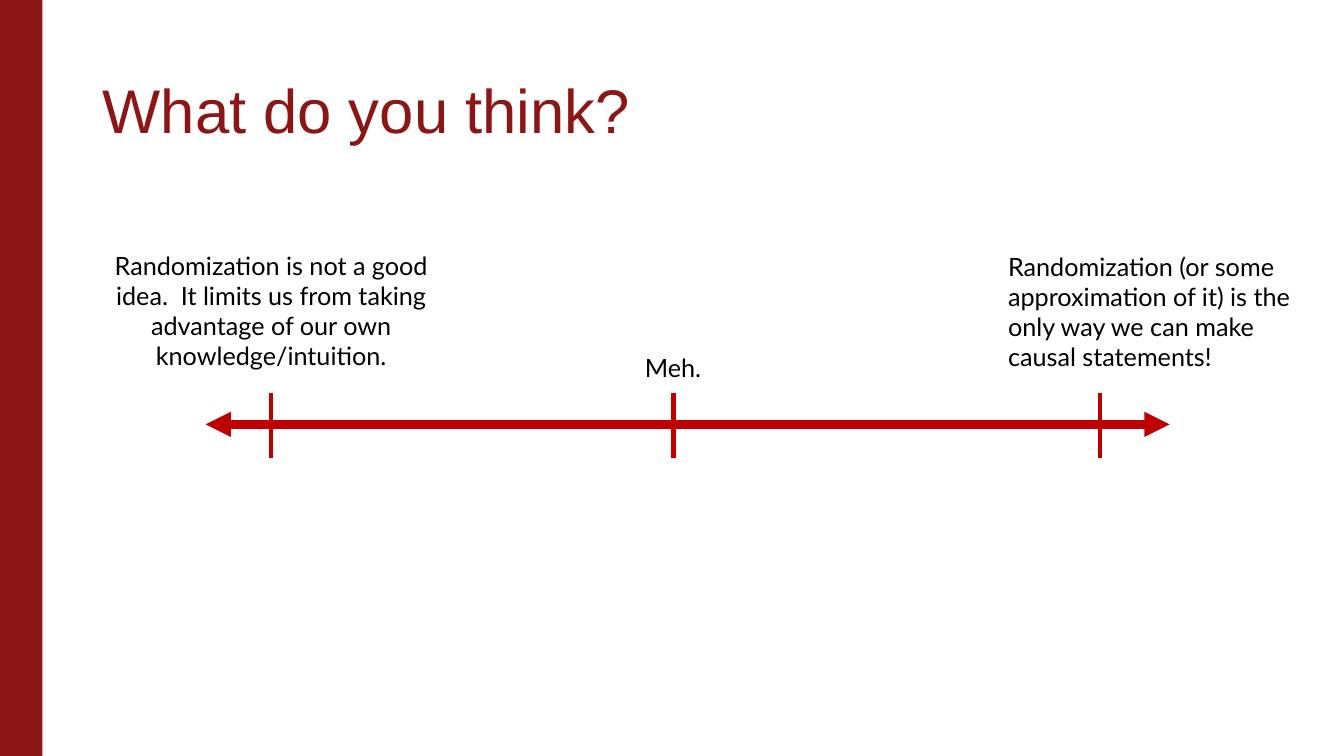
from lxml import etree
from pptx import Presentation
from pptx.dml.color import RGBColor
from pptx.enum import shapes, text
from pptx.oxml import ns
from pptx.util import Inches, Pt

COLORS = {"cardinal": "8C1515", "scale": "C00000", "text": "000000", "background": "FFFFFF"}
AXIS_Y = 4.21
TICK_TOP, TICK_BOTTOM = 3.9, 4.54
TICKS = (2.69, 6.68, 10.91)
OPINIONS = (
    ("Randomization is not a good idea.  It limits us from taking advantage of our own knowledge/intuition.",
     (0.99, 2.43, 3.4, 1.31), text.PP_ALIGN.CENTER),
    ("Meh.", (5.84, 3.45, 1.67, 0.4), text.PP_ALIGN.CENTER),
    ("Randomization (or some approximation of it) is the only way we can make causal statements!",
     (9.9, 2.44, 3.03, 1.31), text.PP_ALIGN.LEFT),
)


def color(name):
    return RGBColor.from_string(COLORS[name])


def add_side_band(slide, width, height):
    shape = slide.shapes.add_shape(shapes.MSO_SHAPE.RECTANGLE, 0, 0, width, height)
    shape.shadow.inherit = False
    shape.fill.solid()
    shape.fill.fore_color.rgb = color("cardinal")
    shape.line.fill.background()


def add_text(slide, wording, box, font_name, size, color_name,
             align=text.PP_ALIGN.LEFT, anchor=text.MSO_ANCHOR.TOP, line_spacing=1.0):
    shape = slide.shapes.add_textbox(*map(Inches, box))
    text_frame = shape.text_frame
    text_frame.text = wording
    text_frame.word_wrap = True
    text_frame.vertical_anchor = anchor
    paragraph = text_frame.paragraphs[0]
    paragraph.alignment = align
    paragraph.line_spacing = line_spacing
    font = paragraph.runs[0].font
    font.name = font_name
    font.size = Pt(size)
    font.color.rgb = color(color_name)


def add_line(slide, start, end, width, arrows=False):
    connector = slide.shapes.add_connector(
        shapes.MSO_CONNECTOR.STRAIGHT, *map(Inches, start + end))
    connector.line.color.rgb = color("scale")
    connector.line.width = Pt(width)
    if arrows:
        line = connector.line._get_or_add_ln()
        for tag in ("a:headEnd", "a:tailEnd"):
            etree.SubElement(line, ns.qn(tag), type="triangle")
    etree.SubElement(connector._element.spPr, ns.qn("a:effectLst"))


def main():
    presentation = Presentation()
    presentation.slide_width = Inches(13.33)
    presentation.slide_height = Inches(7.5)
    slide = presentation.slides.add_slide(presentation.slide_layouts[6])
    slide.background.fill.solid()
    slide.background.fill.fore_color.rgb = color("background")

    add_side_band(slide, Inches(0.42), presentation.slide_height)
    add_text(slide, "What do you think?", (0.92, 0.4, 11.5, 1.45), "Arial", 44, "cardinal",
             anchor=text.MSO_ANCHOR.MIDDLE, line_spacing=0.9)
    add_line(slide, (2.04, AXIS_Y), (11.6, AXIS_Y), 6, arrows=True)
    for tick in TICKS:
        add_line(slide, (tick, TICK_TOP), (tick, TICK_BOTTOM), 3)
    for wording, box, align in OPINIONS:
        add_text(slide, wording, box, "Lato", 18, "text", align)

    presentation.save("out.pptx")


if __name__ == "__main__":
    main()
